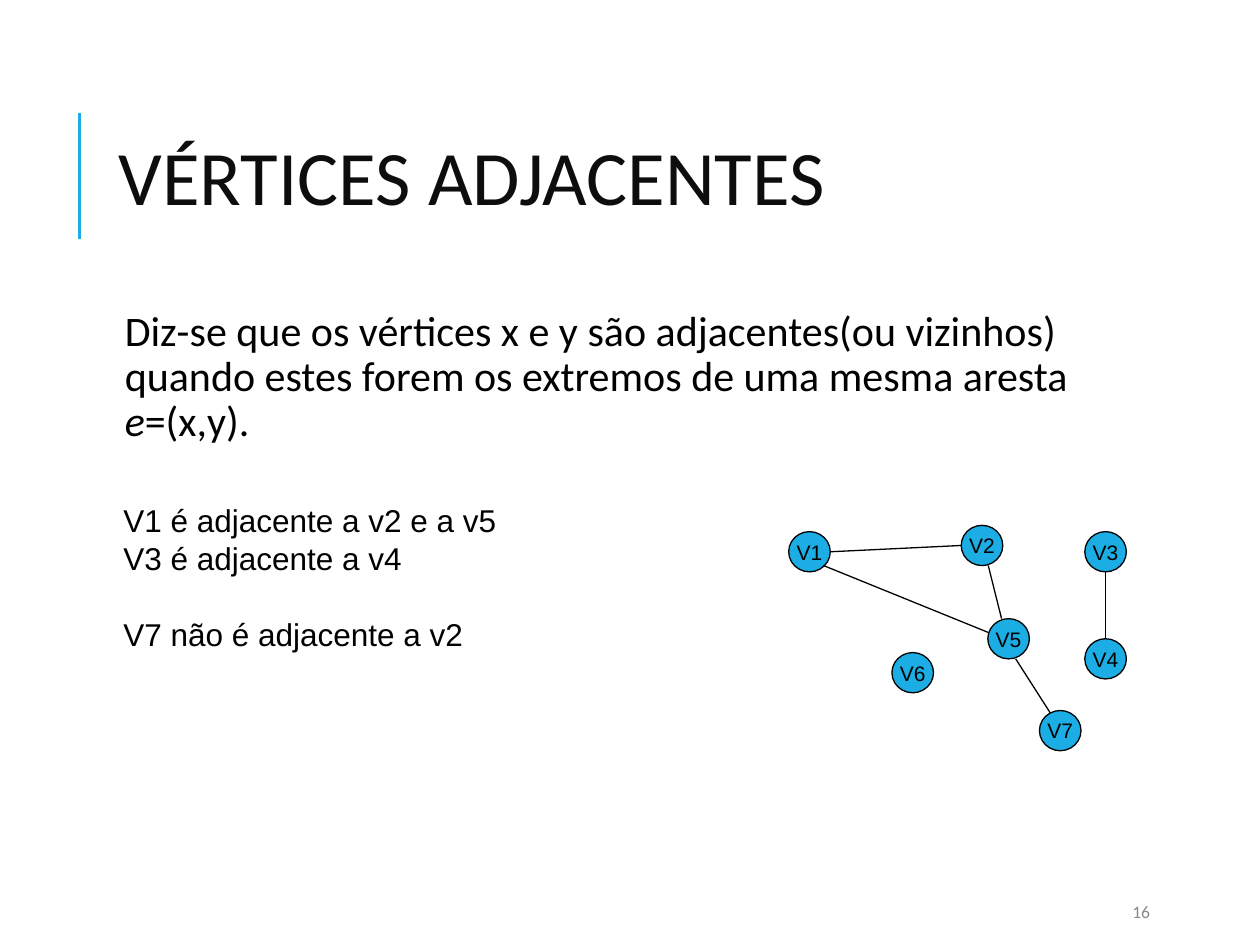
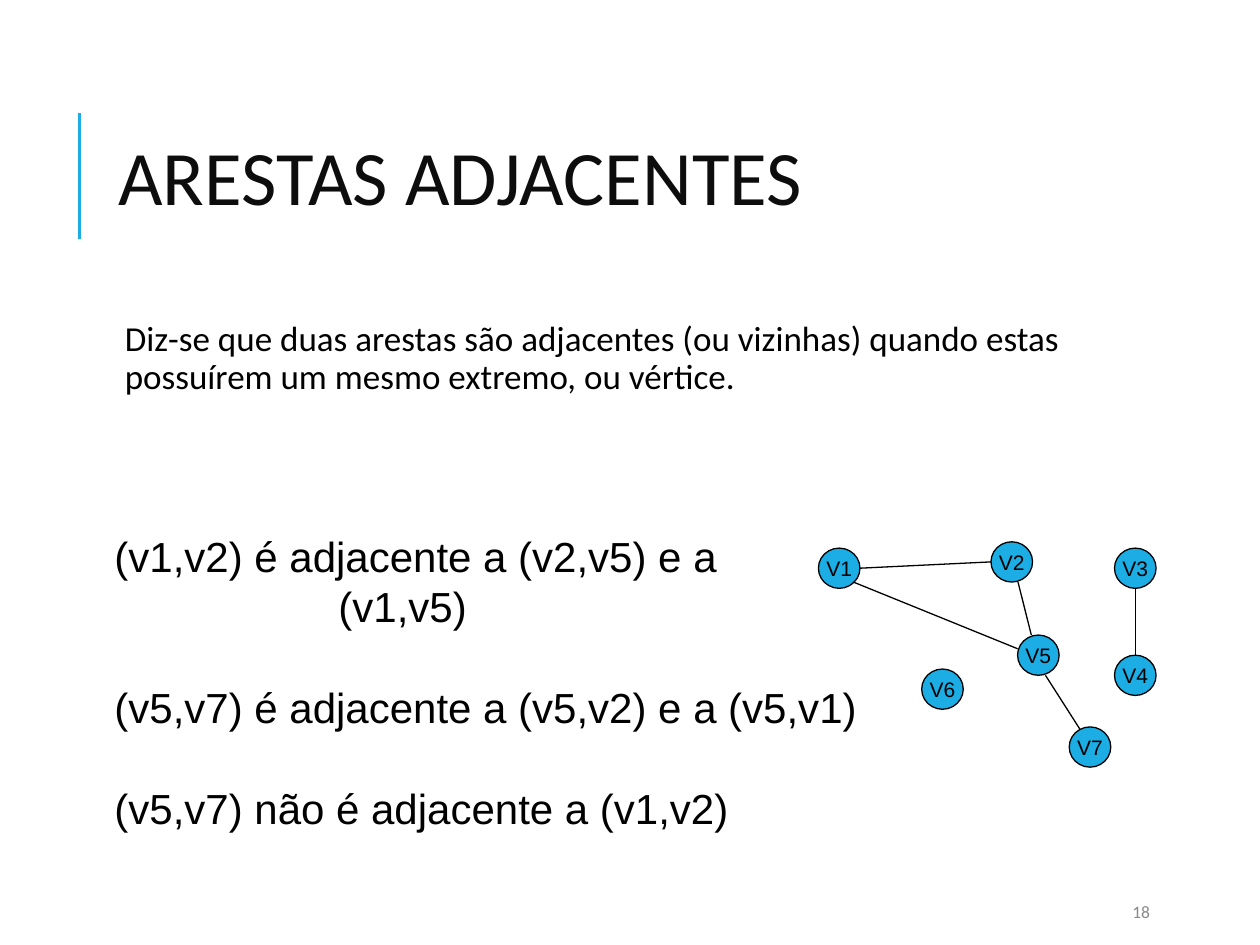
from lxml.etree import SubElement
from pptx import Presentation
from pptx.dml.color import RGBColor
from pptx.enum.shapes import MSO_CONNECTOR, MSO_SHAPE
from pptx.enum.text import MSO_ANCHOR, MSO_AUTO_SIZE, PP_ALIGN
from pptx.oxml.ns import qn
from pptx.util import Pt

ACCENT = RGBColor(0x1C, 0xAD, 0xE4)
TITLE = RGBColor(0x0D, 0x0D, 0x0D)
BLACK = RGBColor(0, 0, 0)
GRAY = RGBColor(0x89, 0x89, 0x89)

# Vertex corners, in points from the corner of the graph
NODE_W, NODE_H = 23.75, 23
VERTICES = {
    "V1": (0, 3.6), "V2": (98.6, 0), "V3": (169.2, 3.6), "V4": (169.2, 64.8),
    "V5": (113.8, 53.3), "V6": (59, 72.7), "V7": (143.3, 105.8),
}
# Each end is a vertex and a point in its box, as fractions of width and height
EDGES = [
    (("V1", 1, 0.5), ("V2", 0, 0.5)),
    (("V1", 0.83, 0.84), ("V5", 0, 0.34)),
    (("V2", 0.65, 1), ("V5", 0.33, 0)),
    (("V3", 0.5, 1), ("V4", 0.5, 0)),
    (("V5", 0.67, 1), ("V7", 0.26, 0.06)),
]


class Deck:
    heading_font = "Calibri"
    text_font = "Arial"

    def __init__(self):
        self.prs = Presentation()
        self.prs.slide_width, self.prs.slide_height = Pt(720), Pt(540)
        self.s = None

    def place(self, sp, left, top, width, height):
        sp.left, sp.top, sp.width, sp.height = map(Pt, (left, top, width, height))

    def run(self, p, text, size, font, color=BLACK, italic=False):
        r = p.add_run()
        r.text = text
        r.font.name, r.font.size, r.font.italic = font, Pt(size), italic
        r.font.color.rgb = color

    def line(self, shapes, start, end, color, width):
        cx = shapes.add_connector(MSO_CONNECTOR.STRAIGHT, *map(Pt, start + end))
        cx.line.color.rgb, cx.line.width = color, Pt(width)
        SubElement(cx._element.spPr, qn("a:effectLst"))

    def add_slide(self, title, number):
        """Start a slide with its side rule, title and page number."""
        self.s = self.prs.slides.add_slide(self.prs.slide_layouts[1])
        self.line(self.s.shapes, (45.4, 136.8), (45.4, 64.8), ACCENT, 1.5)
        sp = self.s.shapes.title
        self.place(sp, 60.5, 46, 574, 118)
        tf = sp.text_frame
        tf.auto_size, tf.vertical_anchor = MSO_AUTO_SIZE.NONE, MSO_ANCHOR.MIDDLE
        p = tf.paragraphs[0]
        p.alignment, p.line_spacing = PP_ALIGN.LEFT, 0.8
        self.run(p, title, 44, self.heading_font, TITLE)

        tf = self.s.shapes.add_textbox(Pt(640), Pt(509.8), Pt(57.6), Pt(21.6)).text_frame
        tf.word_wrap, tf.vertical_anchor = True, MSO_ANCHOR.MIDDLE
        self.run(tf.paragraphs[0], number, 10, self.heading_font, GRAY)

    def definition(self, runs, size, top, width, height):
        """Fill the body placeholder; runs are (text, italic) pairs."""
        sp = self.s.placeholders[1]
        self.place(sp, 60.5, top, width, height)
        tf = sp.text_frame
        tf.auto_size = MSO_AUTO_SIZE.NONE
        tf.margin_left = tf.margin_right = tf.margin_top = tf.margin_bottom = Pt(3.6)
        p = tf.paragraphs[0]
        pPr = p._p.get_or_add_pPr()
        pPr.set("marL", str(Pt(7.2)))
        pPr.set("indent", "0")
        SubElement(pPr, qn("a:buNone"))
        p.line_spacing, p.space_before = 0.9, Pt(0)
        for text, italic in runs:
            self.run(p, text, size, self.heading_font, italic=italic)

    def examples(self, lines, size, left, top, width, height):
        """Add example lines, each a (text, gap in lines before, indent) triple."""
        tf = self.s.shapes.add_textbox(*map(Pt, (left, top, width, height))).text_frame
        tf.word_wrap, tf.auto_size = False, MSO_AUTO_SIZE.SHAPE_TO_FIT_TEXT
        pitch = 1.2 * size
        for i, (text, gap, indent) in enumerate(lines):
            p = tf.add_paragraph() if i else tf.paragraphs[0]
            p._p.get_or_add_pPr().set("marL", str(Pt(indent)))
            p.line_spacing, p.space_before = Pt(pitch), Pt(gap * pitch)
            self.run(p, text, size, self.text_font)

    def vertex(self, shapes, name, x, y):
        sp = shapes.add_shape(MSO_SHAPE.OVAL, Pt(x), Pt(y), Pt(NODE_W), Pt(NODE_H))
        sp.shadow.inherit = False
        sp.fill.solid()
        sp.fill.fore_color.rgb = ACCENT
        sp.line.color.rgb, sp.line.width = BLACK, Pt(0.75)
        tf = sp.text_frame
        tf.word_wrap, tf.vertical_anchor = False, MSO_ANCHOR.MIDDLE
        p = tf.paragraphs[0]
        p.alignment = PP_ALIGN.CENTER
        self.run(p, name, 12, self.text_font)

    def graph(self, left, top):
        shapes = self.s.shapes.add_group_shape().shapes
        for name, (x, y) in VERTICES.items():
            self.vertex(shapes, name, left + x, top + y)

        def point(name, fx, fy):
            x, y = VERTICES[name]
            return left + x + fx * NODE_W, top + y + fy * NODE_H

        for start, end in EDGES:
            self.line(shapes, point(*start), point(*end), BLACK, 0.75)


def main():
    deck = Deck()

    deck.add_slide("VÉRTICES ADJACENTES", "16")
    deck.definition([
        ("Diz-se que os vértices x e y são adjacentes(ou vizinhos) quando estes "
         "forem os extremos de uma mesma aresta ", False),
        ("e", True),
        ("=(x,y).", False),
    ], 24, 173.5, 617, 323.3)
    deck.graph(450.7, 300.2)
    deck.examples([
        ("V1 é adjacente a v2 e a v5", 0, 0),
        ("V3 é adjacente a v4", 0, 0),
        ("V7 não é adjacente a v2", 1, 0),
    ], 18, 63.4, 283, 227.5, 93.6)

    deck.add_slide("ARESTAS ADJACENTES", "18")
    deck.definition([
        ("Diz-se que duas arestas são adjacentes (ou vizinhas) quando estas "
         "possuírem um mesmo extremo, ou vértice.", False),
    ], 20, 180, 574, 316.8)
    deck.graph(467.7, 309.6)
    deck.examples([
        ("(v1,v2) é adjacente a (v2,v5) e a", 0, 0),
        ("(v1,v5)", 0, 128),
        ("(v5,v7) é adjacente a (v5,v2) e a (v5,v1)", 1, 0),
        ("(v5,v7) não é adjacente a (v1,v2)", 1, 0),
    ], 24, 58.3, 299.5, 438.5, 180)

    deck.prs.save("out.pptx")


if __name__ == "__main__":
    main()
